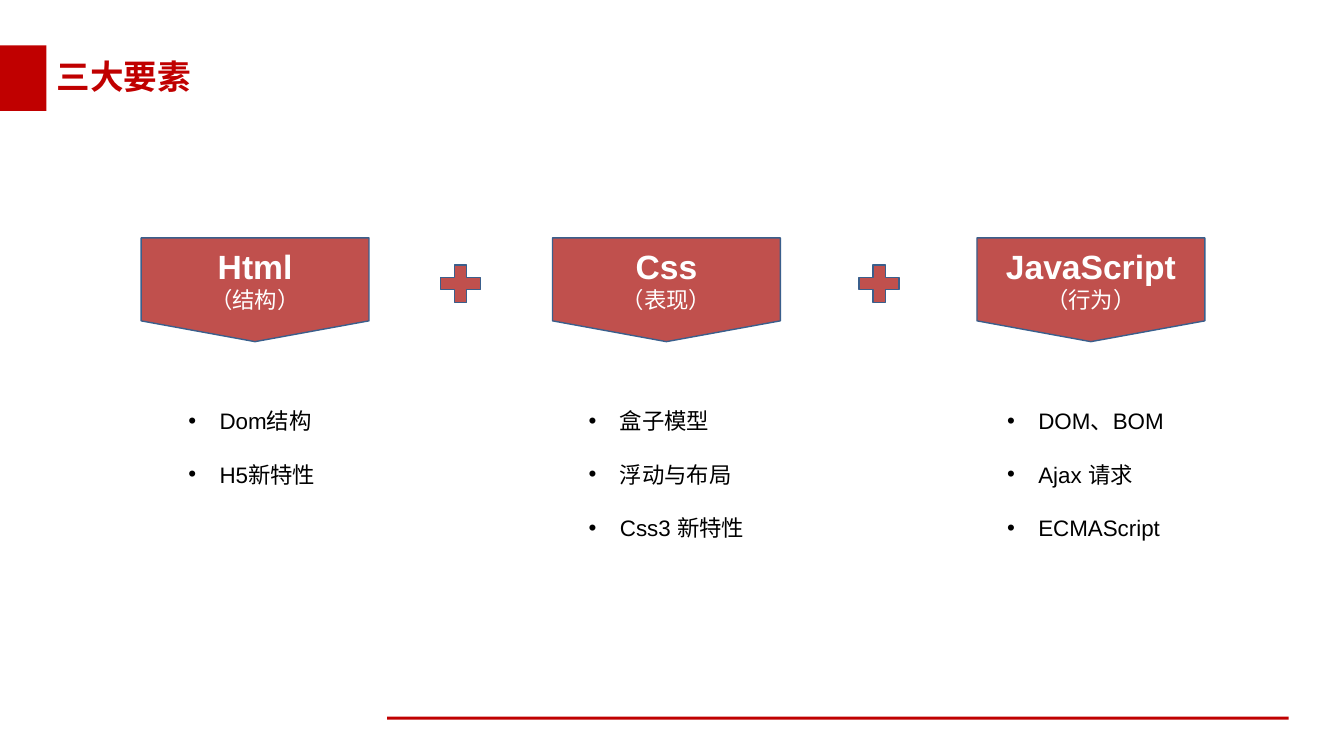
from lxml.etree import SubElement
from pptx import Presentation
from pptx.dml.color import RGBColor
from pptx.enum.shapes import MSO_SHAPE
from pptx.enum.text import MSO_ANCHOR, MSO_AUTO_SIZE, PP_ALIGN
from pptx.oxml.ns import qn
from pptx.util import Inches, Pt

RED = RGBColor(0xC0, 0x00, 0x00)
BRICK = RGBColor(0xC0, 0x50, 0x4D)
BLUE = RGBColor(0x3A, 0x5F, 0x8C)
WHITE = RGBColor(0xFF, 0xFF, 0xFF)
BLACK = RGBColor(0x00, 0x00, 0x00)

BANNER_TOP, BANNER_WIDTH, BANNER_HEIGHT = 2.36, 2.26, 1.03
LIST_TOP = 3.99
INDENT = 0.31

# Heading, caption, banner left, list box (left, width, height), list items
ELEMENTS = [
    ("Html", "（结构）", 1.4, (1.77, 1.51, 0.91), ["Dom结构", "H5新特性"]),
    ("Css", "（表现）", 5.48, (5.74, 1.75, 1.45),
     ["盒子模型", "浮动与布局", "Css3 新特性"]),
    ("JavaScript", "（行为）", 9.69, (9.89, 1.85, 1.45),
     ["DOM、BOM", "Ajax 请求", "ECMAScript"]),
]
PLUS_LEFTS = [4.3, 8.45]


def add_span(para, text, size, color, bold=False, font="Arial"):
    """Add a run whose Latin and East Asian fonts are the same."""
    span = para.add_run()
    span.text = text
    formats = {"size": Pt(size), "bold": bold, "name": font}
    for name, value in formats.items():
        setattr(span.font, name, value)
    span.font.color.rgb = color
    SubElement(span.font._element, qn("a:ea"), typeface=font)


def add_filled_shape(page, kind, box, fill, line=None):
    shape = page.shapes.add_shape(kind, *map(Inches, box))
    shape.shadow.inherit = False
    shape.fill.solid()
    shape.fill.fore_color.rgb = fill
    if line is None:
        shape.line.fill.background()
    else:
        shape.line.color.rgb = line
        shape.line.width = Pt(1)
    return shape


def add_header(page, box):
    left, top, width, height = box
    marker_width = 0.46
    add_filled_shape(page, MSO_SHAPE.RECTANGLE,
                     (left, top, marker_width, height), RED)
    title = page.shapes.title
    place = {"left": left + marker_width, "top": top,
             "width": width - marker_width, "height": height}
    for name, value in place.items():
        setattr(title, name, Inches(value))
    title.text_frame.vertical_anchor = MSO_ANCHOR.MIDDLE
    title.text_frame.auto_size = MSO_AUTO_SIZE.NONE
    para = title.text_frame.paragraphs[0]
    para.alignment = PP_ALIGN.LEFT
    para.line_spacing = 0.9
    add_span(para, "三大要素", 24, RED, True, "Noto Sans CJK SC")


def add_banner(page, box, heading, caption):
    banner = add_filled_shape(page, MSO_SHAPE.FLOWCHART_OFFPAGE_CONNECTOR,
                              box, BRICK, BLUE)
    frame = banner.text_frame
    frame.vertical_anchor = MSO_ANCHOR.MIDDLE
    add_span(frame.paragraphs[0], heading, 24, WHITE, True)
    add_span(frame.add_paragraph(), caption, 16, WHITE)
    for para in frame.paragraphs:
        para.alignment = PP_ALIGN.CENTER


def add_bullet_list(page, box, items):
    frame = page.shapes.add_textbox(*map(Inches, box)).text_frame
    frame.word_wrap = True
    frame.auto_size = MSO_AUTO_SIZE.SHAPE_TO_FIT_TEXT
    for index, item in enumerate(items):
        para = frame.add_paragraph() if index else frame.paragraphs[0]
        para.space_before = Pt(19 if index else 0)
        properties = para._p.get_or_add_pPr()
        properties.set("marL", str(Inches(INDENT)))
        properties.set("indent", str(-Inches(INDENT)))
        SubElement(properties, qn("a:buFont"), typeface="Arial")
        SubElement(properties, qn("a:buChar"), char="•")
        add_span(para, item, 16, BLACK)


def main():
    deck = Presentation()
    deck.slide_width, deck.slide_height = Inches(13.33), Inches(7.5)
    page = deck.slides.add_slide(deck.slide_layouts[5])
    add_filled_shape(page, MSO_SHAPE.RECTANGLE, (3.84, 7.11, 8.94, 0.03), RED)
    add_header(page, (0, 0.45, 12.79, 0.65))
    for heading, caption, left, (list_left, width, height), items in ELEMENTS:
        add_banner(page, (left, BANNER_TOP, BANNER_WIDTH, BANNER_HEIGHT),
                   heading, caption)
        add_bullet_list(page, (list_left, LIST_TOP, width, height), items)
    for left in PLUS_LEFTS:
        add_filled_shape(page, MSO_SHAPE.MATH_PLUS, (left, 2.56, 0.54, 0.51),
                         BRICK, BLUE)
    deck.save("out.pptx")


if __name__ == "__main__":
    main()
